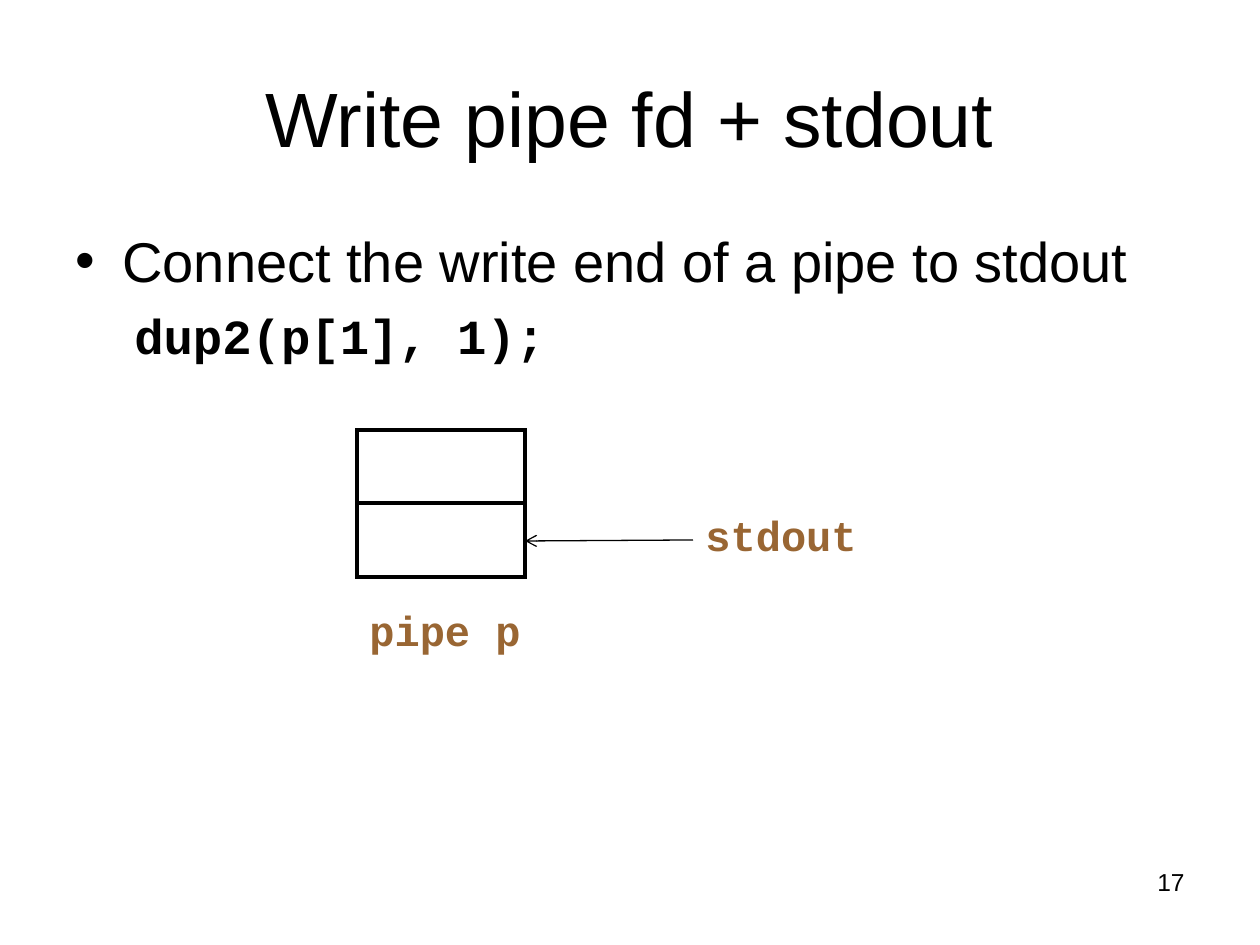
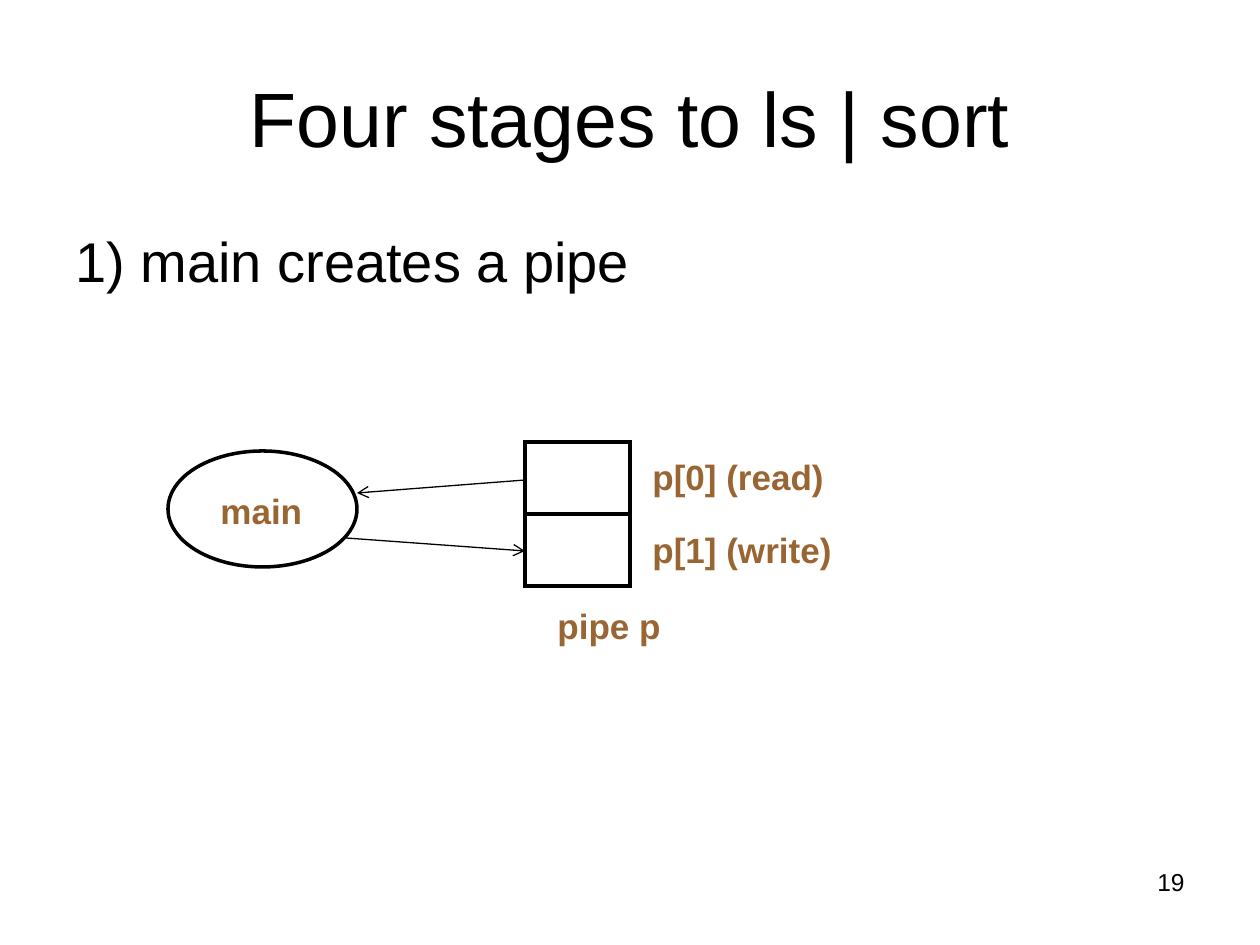
from dataclasses import dataclass

from lxml.etree import SubElement
from pptx import Presentation
from pptx.dml.color import RGBColor
from pptx.enum.shapes import MSO_CONNECTOR, MSO_SHAPE
from pptx.enum.text import MSO_ANCHOR, PP_ALIGN
from pptx.oxml.ns import qn
from pptx.util import Emu, Pt

PX = 914400 / 126


@dataclass(frozen=True)
class TextStyle:
    font: str
    size: int
    color: RGBColor
    bold: bool = False


class Theme:
    black = RGBColor(0x00, 0x00, 0x00)
    white = RGBColor(0xFF, 0xFF, 0xFF)
    brown = RGBColor(0x99, 0x66, 0x33)
    outline = Pt(2)
    arrow = Pt(0.75)
    title = TextStyle("Arial", 44, black)
    body = TextStyle("Arial", 32, black)
    code = TextStyle("Courier New", 28, black, bold=True)
    label = TextStyle("Arial", 20, brown, bold=True)
    code_label = TextStyle("Courier New", 24, brown, bold=True)
    number = TextStyle("Arial", 14, black)


def add_text(slide, box, text, style, align=PP_ALIGN.LEFT, anchor=MSO_ANCHOR.TOP,
             indent=0, bullet=False, space_before=0, frame=None):
    """Write one paragraph in a new box, or below the text of a given frame."""
    if frame is None:
        frame = slide.shapes.add_textbox(*(Emu(round(value * PX)) for value in box)).text_frame
        frame.word_wrap = True
        frame.vertical_anchor = anchor
        paragraph = frame.paragraphs[0]
    else:
        paragraph = frame.add_paragraph()
    paragraph.alignment = align
    paragraph.space_before = Pt(space_before)
    run = paragraph.add_run()
    run.text = text
    run.font.name = style.font
    run.font.size = Pt(style.size)
    run.font.bold = style.bold
    run.font.color.rgb = style.color
    properties = paragraph._p.get_or_add_pPr()
    properties.set("marL", str(round(indent * PX)))
    properties.set("indent", str(round(-indent * PX) if bullet else 0))
    if bullet:
        SubElement(properties, qn("a:buFont"), typeface="Arial")
        SubElement(properties, qn("a:buChar"), char="•")
    else:
        SubElement(properties, qn("a:buNone"))
    return frame


def add_diagram(slide, outlines, arrows):
    """Draw outlined shapes, then arrows given as (x1, y1, x2, y2)."""
    for kind, box in outlines:
        shape = slide.shapes.add_shape(kind, *(Emu(round(value * PX)) for value in box))
        shape.shadow.inherit = False
        shape.fill.solid()
        shape.fill.fore_color.rgb = Theme.white
        shape.line.color.rgb = Theme.black
        shape.line.width = Theme.outline
        SubElement(shape.line._get_or_add_ln(), qn("a:miter"), lim="800000")
    for ends in arrows:
        arrow = slide.shapes.add_connector(
            MSO_CONNECTOR.STRAIGHT, *(Emu(round(value * PX)) for value in ends))
        arrow.line.color.rgb = Theme.black
        arrow.line.width = Theme.arrow
        SubElement(arrow.line._get_or_add_ln(), qn("a:tailEnd"), type="arrow")
        SubElement(arrow._element.spPr, qn("a:effectLst"))


presentation = Presentation()
presentation.slide_width = Emu(round(1260 * PX))
presentation.slide_height = Emu(round(945 * PX))

slides = []
for title, number in (("Write pipe fd + stdout", "17"), ("Four stages to ls | sort", "19")):
    slide = presentation.slides.add_slide(presentation.slide_layouts[6])
    slide.background.fill.solid()
    slide.background.fill.fore_color.rgb = Theme.white
    add_text(slide, (63, 38, 1134, 157), title, Theme.title,
             align=PP_ALIGN.CENTER, anchor=MSO_ANCHOR.MIDDLE)
    add_text(slide, (903, 861, 294, 65), number, Theme.number, align=PP_ALIGN.RIGHT)
    slides.append(slide)
stdout_slide, stages_slide = slides
body_box = (63, 220, 1134, 624)

# Write end of the pipe connected to stdout
body = add_text(stdout_slide, body_box, "Connect the write end of a pipe to stdout",
                Theme.body, indent=47, bullet=True)
add_text(stdout_slide, None, "dup2(p[1], 1);", Theme.code,
         indent=59, space_before=7, frame=body)
pipe_ends = [(MSO_SHAPE.RECTANGLE, (357, 430 + 73 * row, 168, 74)) for row in range(2)]
add_diagram(stdout_slide, pipe_ends, [(693, 540, 525, 541)])
add_text(stdout_slide, (693, 503, 210, 63), "stdout", Theme.code_label)
add_text(stdout_slide, (357, 598, 189, 63), "pipe p", Theme.code_label)

# Main process with both ends of its pipe
add_text(stages_slide, body_box, "1) main creates a pipe", Theme.body)
pipe_ends = [(MSO_SHAPE.RECTANGLE, (525, 442 + 72 * row, 105, 72)) for row in range(2)]
main_process = (MSO_SHAPE.OVAL, (168, 451, 189, 116))
add_diagram(stages_slide, [main_process, *pipe_ends],
            [(525, 480, 357, 493), (346, 538, 525, 551)])
add_text(stages_slide, (189, 483, 220, 55), "main", Theme.label, indent=19)
add_text(stages_slide, (545, 598, 210, 55), "pipe p", Theme.label)
for row, text in enumerate(("p[0] (read)", "p[1] (write)")):
    add_text(stages_slide, (640, 449 + 73 * row, 284, 55), text, Theme.label)

presentation.save("out.pptx")
